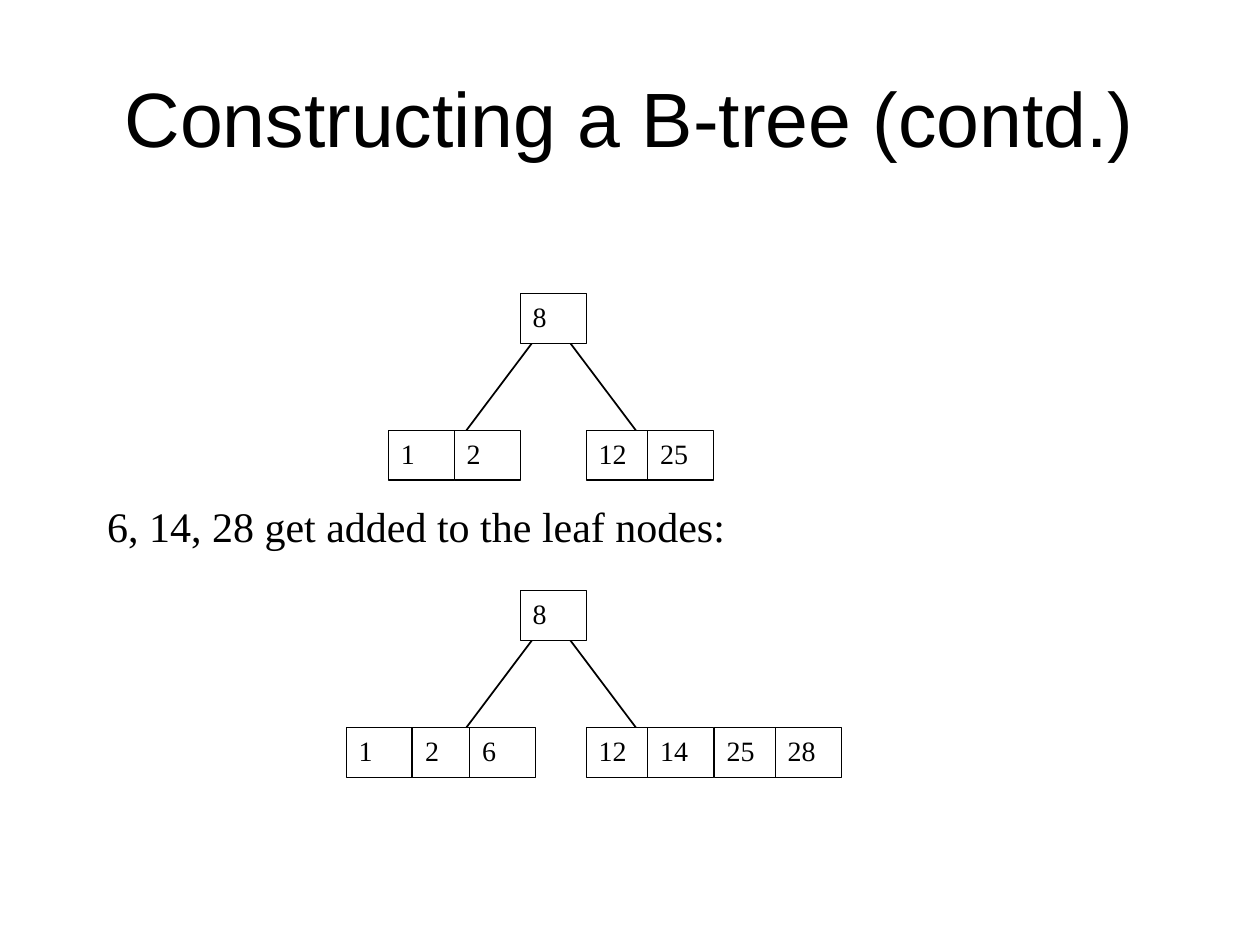
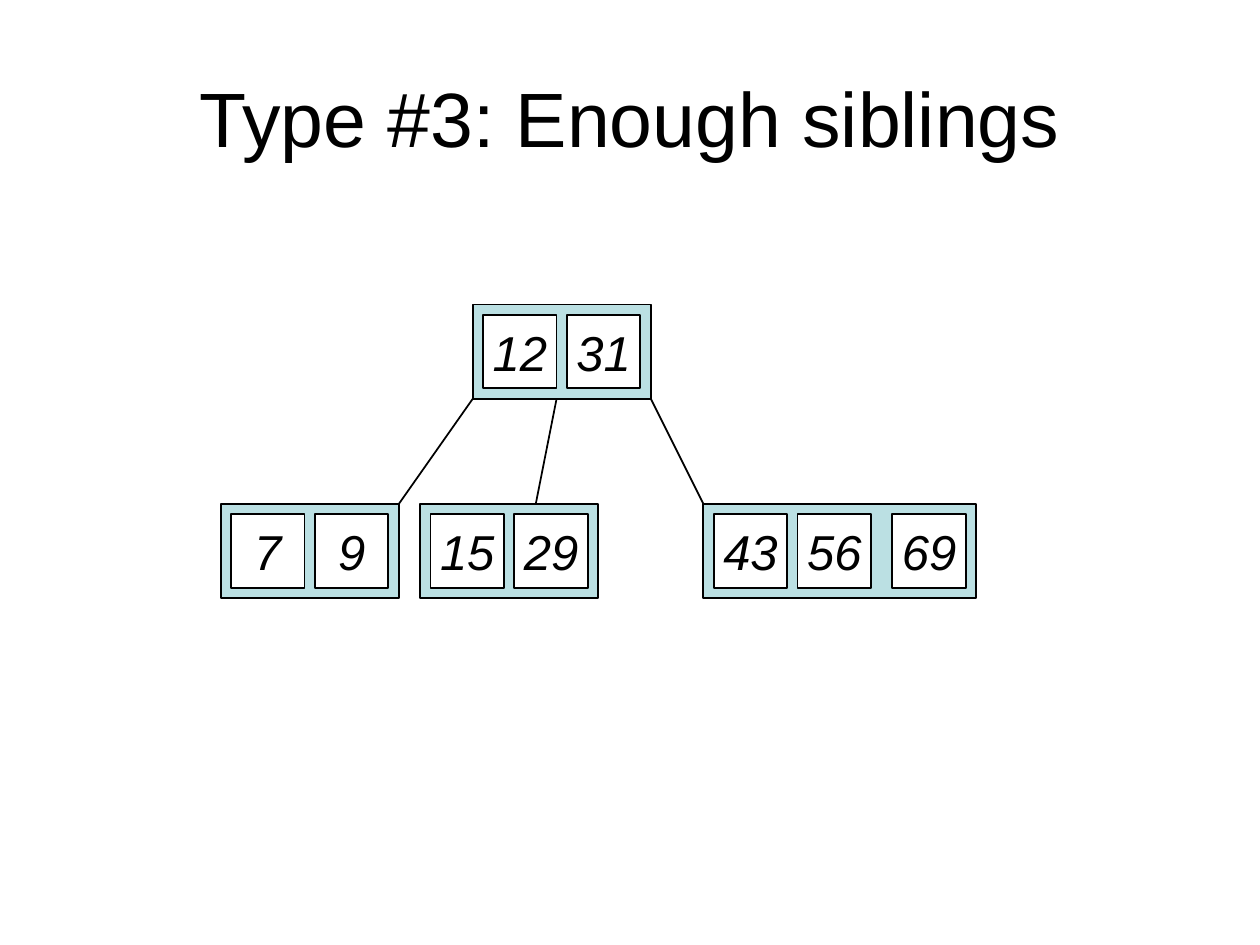
"""Build two slides of B-tree diagrams: adding keys to leaves, and siblings with enough keys."""
from lxml import etree
from pptx import Presentation
from pptx.dml.color import RGBColor
from pptx.enum.shapes import MSO_CONNECTOR, MSO_SHAPE
from pptx.enum.text import MSO_ANCHOR, PP_ALIGN
from pptx.oxml.ns import qn
from pptx.util import Cm, Pt

RECT = MSO_SHAPE.RECTANGLE
LINE = MSO_CONNECTOR.STRAIGHT
TOP, MID = MSO_ANCHOR.TOP, MSO_ANCHOR.MIDDLE
LEFT, MIDDLE = PP_ALIGN.LEFT, PP_ALIGN.CENTER

HUES = {"ink": "000000", "paper": "FFFFFF", "node": "BBE0E3"}
INK = RGBColor.from_string(HUES["ink"])

SANS, SERIF = "Arial", "Times New Roman"
LOOKS = {
    "title": {"font": {"name": SANS, "size": Pt(44)}, "align": MIDDLE,
              "frame": {"word_wrap": True, "vertical_anchor": MID}},
    "note": {"font": {"name": SERIF, "size": Pt(24)}, "align": LEFT,
             "frame": {"word_wrap": True, "vertical_anchor": TOP}},
    "cell": {"font": {"name": SERIF, "size": Pt(16)}, "align": LEFT,
             "frame": {"word_wrap": True, "vertical_anchor": TOP},
             "fill": "paper", "width": 0.75},
    "key": {"font": {"name": SANS, "size": Pt(28), "italic": True}, "align": MIDDLE,
            "frame": {"word_wrap": False, "vertical_anchor": MID},
            "fill": "paper", "width": 1},
    "node": {"fill": "node", "width": 1},
}


def box(slide, kind, x, y, w, h, text=None):
    look = LOOKS[kind]
    place = [Cm(v) for v in (x, y, w, h)]
    if "fill" in look:
        shape = slide.shapes.add_shape(RECT, *place)
        shape.shadow.inherit = False
        shape.fill.solid()
        shape.fill.fore_color.rgb = RGBColor.from_string(HUES[look["fill"]])
        shape.line.color.rgb = INK
        shape.line.width = Pt(look["width"])
    else:
        shape = slide.shapes.add_textbox(*place)
    if text is None:
        return
    frame = shape.text_frame
    for name, value in look["frame"].items():
        setattr(frame, name, value)
    para = frame.paragraphs[0]
    para.alignment = look["align"]
    run = para.add_run()
    run.text = text
    run.font.color.rgb = INK
    for name, value in look["font"].items():
        setattr(run.font, name, value)


def link(slide, *ends):
    line = slide.shapes.add_connector(LINE, *[Cm(v) for v in ends])
    line.line.color.rgb = INK
    line.line.width = Pt(1)
    etree.SubElement(line._element.spPr, qn("a:effectLst"))


deck = Presentation()
deck.slide_width, deck.slide_height = Cm(25.4), Cm(19.05)
blank = deck.slide_layouts[6]
slides = []
for title in ("Constructing a B-tree (contd.)", "Type #3: Enough siblings"):
    slide = deck.slides.add_slide(blank)
    box(slide, "title", 1.27, 0.76, 22.86, 3.18, title)
    slides.append(slide)
build, types = slides

box(build, "note", 1.91, 9.96, 21.79, 1.27, "6, 14, 28 get added to the leaf nodes:")

WIDE, TALL, DROP = 1.33, 1, 2.76
trees = [
    (5.92, {"1": 7.83, "2": 9.16, "12": 11.82, "25": 13.06}),
    (11.91, {"1": 6.98, "2": 8.32, "6": 9.47,
             "12": 11.82, "14": 13.06, "25": 14.4, "28": 15.63}),
]
for top, leaves in trees:
    for start, end in ((11, 9.09), (11.22, 13.13)):
        link(build, start, top + 0.63, end, top + 3.17)
    box(build, "cell", 10.49, top, WIDE, TALL, "8")
    for text, x in leaves.items():
        box(build, "cell", x, top + DROP, WIDE, TALL, text)

ROOT, LEAF = 6.14, 10.16
PAD, SIDE, HIGH = 0.21, 1.48, 1.9
STEPS = (PAD, 1.9, 3.81)
nodes = [
    (9.53, ROOT, ("12", "31")),
    (4.45, LEAF, ("7", "9")),
    (8.47, LEAF, ("15", "29")),
    (14.18, LEAF, ("43", "56", "69")),
]
for x, y, keys in nodes:
    span = STEPS[len(keys) - 1] + SIDE + PAD
    box(types, "node", x, y, span, HIGH)
    for step, key in zip(STEPS, keys):
        box(types, "key", x + step, y + PAD, SIDE, SIDE, key)
for start, end in ((9.53, 8.04), (11.22, 10.8), (13.12, 14.18)):
    link(types, start, ROOT + HIGH, end, LEAF)

deck.save("out.pptx")
